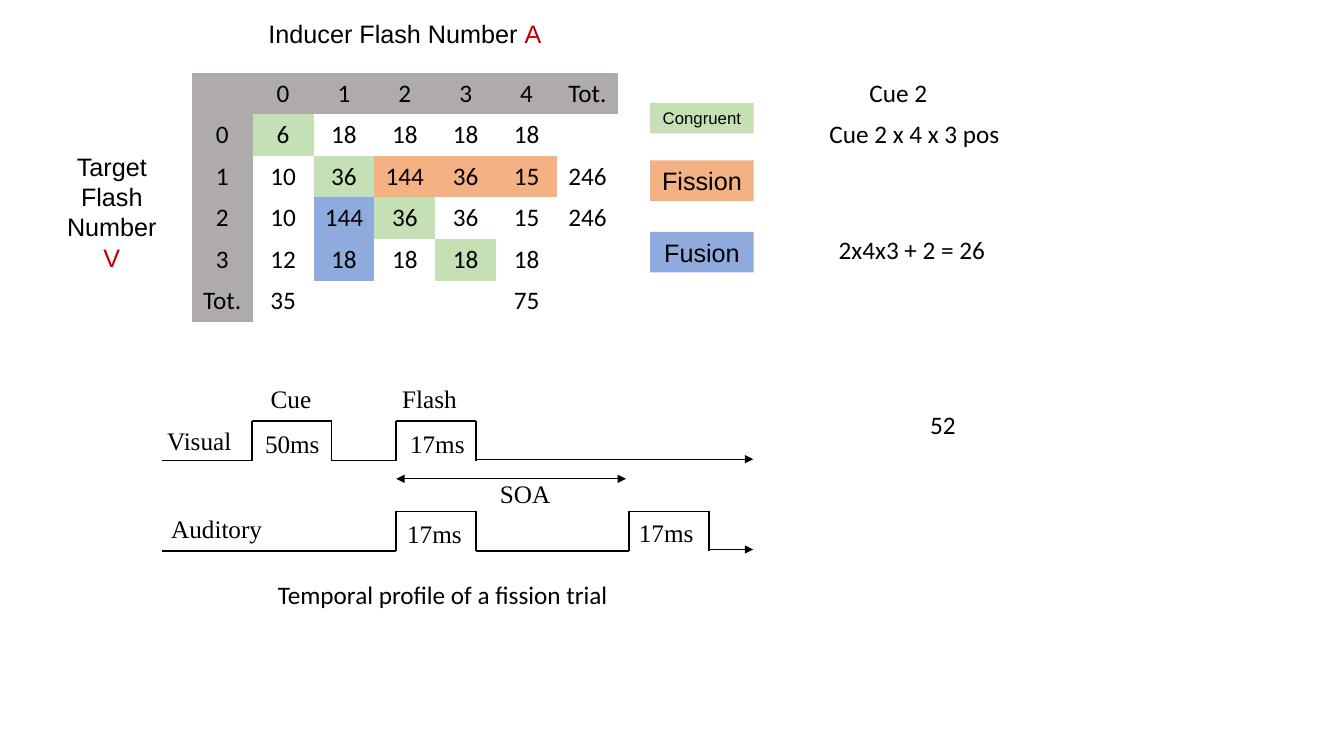
"""Build the slide on flash number trial counts and the timing of a fission trial."""
from lxml.etree import SubElement
from pptx import Presentation
from pptx.dml.color import RGBColor
from pptx.enum.shapes import MSO_CONNECTOR, MSO_SHAPE
from pptx.enum.text import MSO_ANCHOR, MSO_AUTO_SIZE, PP_ALIGN
from pptx.oxml.ns import qn
from pptx.util import Pt

COLORS = {
    "text": "000000", "accent": "C00000", "header": "AFABAB",
    "congruent": "C5E0B4", "fission": "F4B183", "fusion": "8FAADC",
}
COUNTS = [
    ["", "0", "1", "2", "3", "4", "Tot."],
    ["0", "6", "18", "18", "18", "18", ""],
    ["1", "10", "36", "144", "36", "15", "246"],
    ["2", "10", "144", "36", "36", "15", "246"],
    ["3", "12", "18", "18", "18", "18", ""],
    ["Tot.", "35", "", "", "", "75", ""],
]
CONDITIONS = {
    "congruent": [(1, 1), (2, 2), (3, 3), (4, 4)],
    "fission": [(2, 3), (2, 4), (2, 5)],
    "fusion": [(3, 2), (4, 2)],
}
TABLE_LEFT, TABLE_TOP, COLUMN_WIDTH, ROW_HEIGHT = 137, 52, 43.5, 29.7
NO_STYLE_NO_GRID = "{2D5ABB26-0587-4C30-8999-92F81FD0307C}"

LEGEND_LEFT, LEGEND_WIDTH = 464.4, 74
LEGEND = [
    ("Congruent", 73.5, 21.8, 12),
    ("Fission", 114.6, 29, 18),
    ("Fusion", 165.6, 29, 18),
]

AXIS_TITLES = [
    ([[("Inducer Flash Number ", "text"), ("A", "accent")]], 184.3, 9.7, 210, 29),
    ([[("Target", "text")], [("Flash", "text")], [("Number", "text")], [("V", "accent")]],
     40.3, 104.4, 79.2, 94.3),
]
SERIF, SANS = "Times New Roman", "Calibri"
LABELS = [
    ("Visual", 112.3, 300.5, 61, SERIF),
    ("Auditory", 115.2, 363, 80, SERIF),
    ("Cue", 186.3, 270.5, 44, SERIF),
    ("Flash", 280.2, 270.5, 54, SERIF),
    ("50ms", 182.2, 302.5, 54, SERIF),
    ("17ms", 285.8, 302.5, 54, SERIF),
    ("17ms", 283.7, 366.8, 54, SERIF),
    ("17ms", 449.3, 366, 54, SERIF),
    ("SOA", 350, 338, 51, SERIF),
    ("Temporal profile of a fission trial", 191.4, 410.5, 285, SANS),
    ("Cue 2", 614, 52, 56, SANS),
    ("Cue 2 x 4 x 3 pos", 585.4, 81, 137.5, SANS),
    ("2x4x3 + 2 = 26", 592, 164, 120, SANS),
    ("52", 657.4, 289, 33, SANS),
]
LABEL_HEIGHT = 29

CUE, FLASH, SECOND_BEEP, TIME_END = 180, 283, 449.3, 538
PULSE_WIDTH, PULSE_HEIGHT = 57, 28.2
VISUAL_BASE, AUDITORY_BASE = 329, 393.5
PULSES = [
    (CUE, VISUAL_BASE), (FLASH, VISUAL_BASE),
    (FLASH, AUDITORY_BASE), (SECOND_BEEP, AUDITORY_BASE),
]
TIMELINE = [
    (115.5, CUE, VISUAL_BASE, ()),
    (CUE + PULSE_WIDTH, FLASH, VISUAL_BASE, ()),
    (FLASH + PULSE_WIDTH, TIME_END, VISUAL_BASE - 1, ("tailEnd",)),
    (116, FLASH, AUDITORY_BASE, ()),
    (FLASH + PULSE_WIDTH, SECOND_BEEP, AUDITORY_BASE, ()),
    (SECOND_BEEP + PULSE_WIDTH, TIME_END, AUDITORY_BASE - 1, ("tailEnd",)),
    (FLASH, 447.2, 342, ("headEnd", "tailEnd")),
]


def color(name):
    return RGBColor.from_string(COLORS[name])


def style(paragraph, font_name, size=18, align=PP_ALIGN.CENTER):
    paragraph.alignment = align
    paragraph.font.name = font_name
    paragraph.font.size = Pt(size)
    paragraph.font.color.rgb = color("text")


def add_text(slide, left, top, width, height):
    frame = slide.shapes.add_textbox(Pt(left), Pt(top), Pt(width), Pt(height)).text_frame
    frame.word_wrap = False
    frame.auto_size = MSO_AUTO_SIZE.SHAPE_TO_FIT_TEXT
    return frame


def add_axis_titles(slide):
    for lines, *box in AXIS_TITLES:
        frame = add_text(slide, *box)
        for index, words in enumerate(lines):
            paragraph = frame.add_paragraph() if index else frame.paragraphs[0]
            style(paragraph, "Arial")
            for text, tone in words:
                run = paragraph.add_run()
                run.text = text
                run.font.color.rgb = color(tone)


def add_counts(slide):
    rows, columns = len(COUNTS), len(COUNTS[0])
    counts = slide.shapes.add_table(
        rows, columns, Pt(TABLE_LEFT), Pt(TABLE_TOP),
        Pt(columns * COLUMN_WIDTH), Pt(rows * ROW_HEIGHT)).table
    counts.first_row = counts.horz_banding = False
    counts._tbl.tblPr.find(qn("a:tableStyleId")).text = NO_STYLE_NO_GRID
    for column in counts.columns:
        column.width = Pt(COLUMN_WIDTH)
    condition_at = {spot: name for name, spots in CONDITIONS.items() for spot in spots}
    for r, values in enumerate(COUNTS):
        counts.rows[r].height = Pt(ROW_HEIGHT)
        for c, value in enumerate(values):
            cell = counts.cell(r, c)
            cell.text = value
            cell.vertical_anchor = MSO_ANCHOR.MIDDLE
            cell.margin_left = cell.margin_right = Pt(4)
            style(cell.text_frame.paragraphs[0], SANS)
            tone = condition_at.get((r, c)) if r and c else "header"
            if tone:
                cell.fill.solid()
                cell.fill.fore_color.rgb = color(tone)
            else:
                cell.fill.background()


def add_legend(slide):
    for condition, top, height, size in LEGEND:
        swatch = slide.shapes.add_shape(
            MSO_SHAPE.RECTANGLE, Pt(LEGEND_LEFT), Pt(top), Pt(LEGEND_WIDTH), Pt(height))
        swatch.shadow.inherit = False
        swatch.fill.solid()
        swatch.fill.fore_color.rgb = color(condition.lower())
        swatch.line.fill.background()
        swatch.text_frame.text = condition
        style(swatch.text_frame.paragraphs[0], "Arial", size)


def add_line(slide, x1, y1, x2, y2, arrowheads=()):
    line = slide.shapes.add_connector(
        MSO_CONNECTOR.STRAIGHT, Pt(x1), Pt(y1), Pt(x2), Pt(y2))
    line.line.color.rgb = color("text")
    line.line.width = Pt(1)
    for end in arrowheads:
        SubElement(line.line._get_or_add_ln(), qn(f"a:{end}"), type="triangle")
    SubElement(line._element.spPr, qn("a:effectLst"))


def add_trial(slide):
    for left, base in PULSES:
        right, top = left + PULSE_WIDTH, base - PULSE_HEIGHT
        add_line(slide, left, base, left, top)
        add_line(slide, right, base, right, top)
        add_line(slide, left, top, right, top)
    for start, end, y, arrowheads in TIMELINE:
        add_line(slide, start, y, end, y, arrowheads)


def add_labels(slide):
    for text, left, top, width, font_name in LABELS:
        frame = add_text(slide, left, top, width, LABEL_HEIGHT)
        frame.text = text
        style(frame.paragraphs[0], font_name, align=PP_ALIGN.LEFT)


def main():
    deck = Presentation()
    deck.slide_width, deck.slide_height = Pt(960), Pt(540)
    slide = deck.slides.add_slide(deck.slide_layouts[6])
    add_axis_titles(slide)
    add_counts(slide)
    add_legend(slide)
    add_trial(slide)
    add_labels(slide)
    deck.save("out.pptx")


if __name__ == "__main__":
    main()
